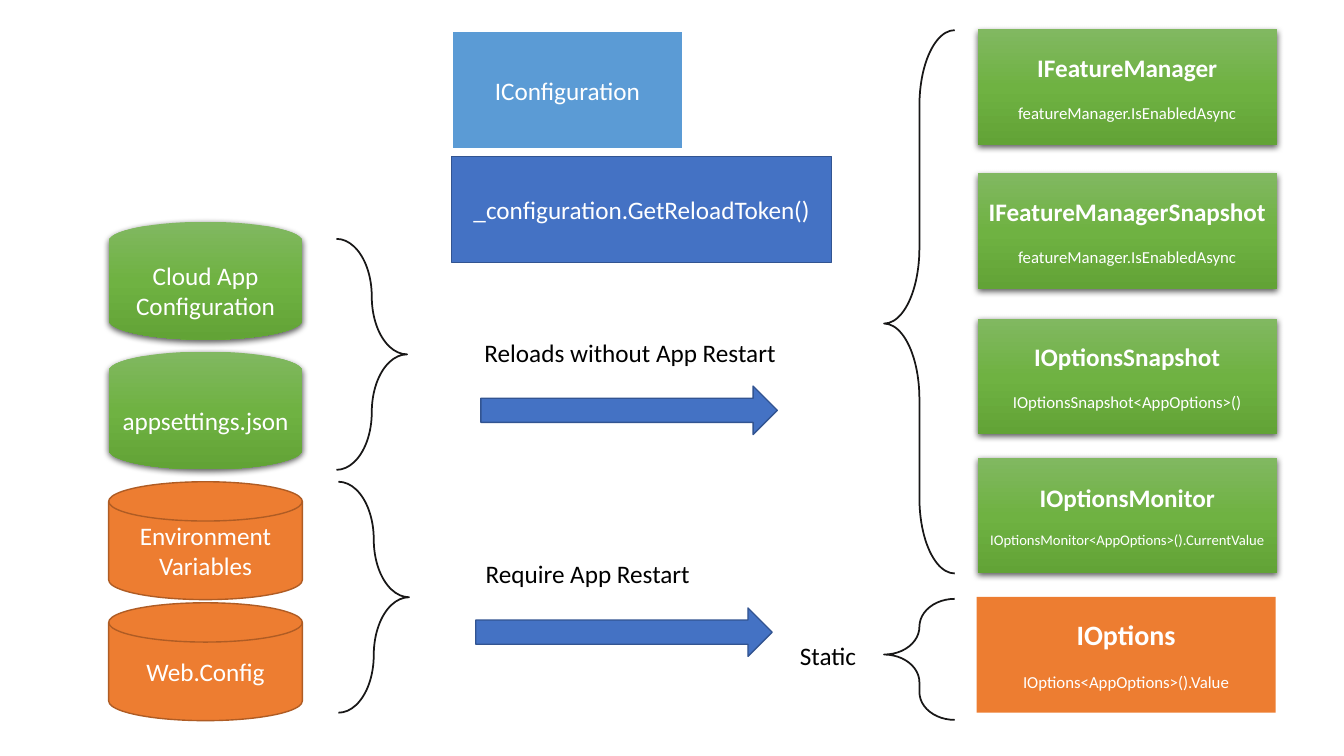
from lxml import etree
from pptx import Presentation
from pptx import util as u
from pptx.dml.color import RGBColor
from pptx.enum import shapes, text
from pptx.oxml import ns

WHITE, BLACK, INK = "FFFFFF", "000000", "181717"
SKY, BLUE, NAVY = "5B9BD5", "4472C4", "325491"
ORANGE, RUST = "ED7D31", "AF5C24"
GREEN_STOPS = {0: "81B861", 50000: "6FB242", 100000: "62A336"}
DOWNWARD = "5400000"
KINDS = shapes.MSO_SHAPE


def color(value):
    return RGBColor.from_string(value)


def set_format(target, values):
    for name, value in values.items():
        setattr(target, name, value)


def add_xml(parent, tag, **attributes):
    return etree.SubElement(parent, ns.qn(tag), attributes)


def write(shape, lines, font_color=WHITE, align=text.PP_ALIGN.CENTER):
    """Fill a shape with (text, size, bold, space after) lines."""
    frame = shape.text_frame
    set_format(frame, {"word_wrap": True, "vertical_anchor": text.MSO_ANCHOR.MIDDLE})
    for index, (words, size, bold, gap) in enumerate(lines):
        paragraph = frame.add_paragraph() if index else frame.paragraphs[0]
        set_format(paragraph, {"alignment": align, "space_after": u.Pt(gap)})
        run = paragraph.add_run()
        run.text = words
        set_format(run.font, {"name": "Calibri", "size": u.Pt(size), "bold": bold})
        run.font.color.rgb = color(font_color)


def add_shape(slide, kind, box, fill=None, line=None, width=1):
    shape = slide.shapes.add_shape(kind, *map(u.Cm, box))
    shape.shadow.inherit = False
    if fill:
        shape.fill.solid()
        shape.fill.fore_color.rgb = color(fill)
    else:
        shape.fill.background()
    if line:
        shape.line.color.rgb = color(line)
        shape.line.width = u.Pt(width)
    else:
        shape.line.fill.background()
    return shape


def make_green(shape):
    """Replace the fill by the green gradient and cast a soft shadow."""
    properties = shape._element.spPr
    gradient = etree.Element(ns.qn("a:gradFill"), rotWithShape="1")
    stops = add_xml(gradient, "a:gsLst")
    for position, value in GREEN_STOPS.items():
        stop = add_xml(stops, "a:gs", pos=str(position))
        add_xml(stop, "a:srgbClr", val=value)
    add_xml(gradient, "a:lin", ang=DOWNWARD, scaled="0")
    properties.replace(properties.find(ns.qn("a:noFill")), gradient)
    shadow = add_xml(properties.find(ns.qn("a:effectLst")), "a:outerShdw",
                     blurRad=str(u.Pt(4.5)), dist=str(u.Pt(1.5)), dir=DOWNWARD,
                     algn="ctr", rotWithShape="0")
    shadow_color = add_xml(shadow, "a:srgbClr", val=BLACK)
    add_xml(shadow_color, "a:alpha", val="63000")


def add_box(slide, box, words, fill, line, width):
    shape = add_shape(slide, KINDS.RECTANGLE, box, fill, line, width)
    write(shape, [(words, 18, False, 0)])


def add_source(slide, top, words, static):
    """Draw a configuration source as a disk: orange if static, else green."""
    colors = (ORANGE, RUST) if static else ()
    disk = add_shape(slide, KINDS.FLOWCHART_MAGNETIC_DISK, (2.74, top, 4.88, 2.97), *colors)
    if not static:
        make_green(disk)
    write(disk, [(words, 18, False, 0)])


def add_card(slide, left, top, title, usage, title_size=18, usage_size=12, static=False):
    fill = ORANGE if static else None
    card = add_shape(slide, KINDS.RECTANGLE, (left, top, 7.54, 2.92), fill)
    if not static:
        make_green(card)
    write(card, [(title, title_size, True, usage_size * 1.2), (usage, usage_size, False, 0)])


def add_brace(slide, left, top, height, tip=0.5, rotation=0):
    brace = add_shape(slide, KINDS.RIGHT_BRACE, (left, top, 1.78, height), None, INK, 1.25)
    brace.rotation = rotation
    brace.adjustments[0], brace.adjustments[1] = 1.07, tip


def add_label(slide, left, top, width, words):
    label = slide.shapes.add_textbox(*map(u.Cm, (left, top, width, 1.02)))
    write(label, [(words, 18, False, 0)], BLACK, text.PP_ALIGN.LEFT)


def add_arrow(slide, left, top):
    add_shape(slide, KINDS.RIGHT_ARROW, (left, top, 7.47, 1.22), BLUE, NAVY)


def main():
    presentation = Presentation()
    set_format(presentation, {"slide_width": u.Cm(33.87), "slide_height": u.Cm(19.05)})
    slide = presentation.slides.add_slide(presentation.slide_layouts[6])

    add_box(slide, (11.38, 0.79, 5.84, 2.97), "IConfiguration", SKY, WHITE, 1.5)
    add_box(slide, (11.38, 3.94, 9.58, 2.67), "_configuration.GetReloadToken()", BLUE, NAVY, 1)

    for top, words, static in (
        (5.59, "Cloud App Configuration", False),
        (8.86, "appsettings.json", False),
        (12.14, "Environment Variables", True),
        (15.19, "Web.Config", True),
    ):
        add_source(slide, top, words, static)

    snapshot_usage = "featureManager.IsEnabledAsync"
    add_card(slide, 24.64, 0.74, "IFeatureManager", snapshot_usage)
    add_card(slide, 24.64, 4.37, "IFeatureManagerSnapshot", snapshot_usage)
    add_card(slide, 24.64, 8.03, "IOptionsSnapshot", "IOptionsSnapshot<AppOptions>()")
    add_card(slide, 24.64, 11.53, "IOptionsMonitor",
             "IOptionsMonitor<AppOptions>().CurrentValue", usage_size=10.5)
    add_card(slide, 24.61, 15.04, "IOptions", "IOptions<AppOptions>().Value",
             title_size=20, static=True)

    add_brace(slide, 8.48, 6.02, 5.82)
    add_brace(slide, 8.53, 12.14, 5.82)
    add_brace(slide, 22.28, 0.76, 13.69, 0.46, 180)
    add_brace(slide, 22.28, 15.09, 3.05, 0.54, 180)

    add_label(slide, 11.96, 8.36, 8.43, "Reloads without App Restart")
    add_label(slide, 11.99, 13.94, 7.47, "Require App Restart")
    add_label(slide, 19.91, 16, 2.9, "Static")
    add_arrow(slide, 12.12, 9.73)
    add_arrow(slide, 11.99, 15.32)

    presentation.save("out.pptx")


if __name__ == "__main__":
    main()
